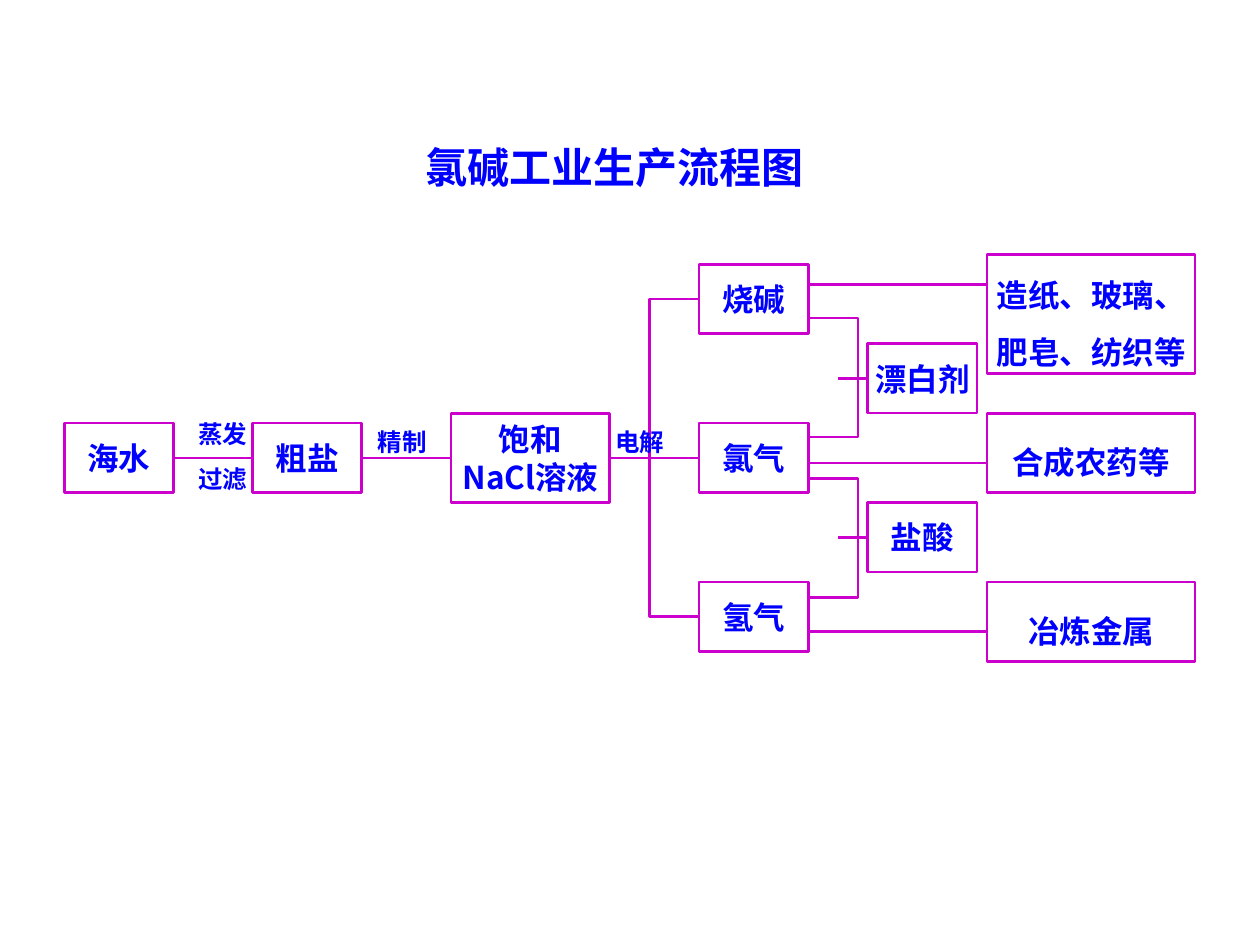
from dataclasses import dataclass

import lxml.etree
import pptx
import pptx.dml.color
import pptx.enum.shapes
import pptx.enum.text
import pptx.oxml.ns
import pptx.util

UNIT = 10 / 127
LEFT, TOP = 0.51, 2.02
PURPLE, BLUE = "CC00CC", "0000FF"


@dataclass
class Box:
    text: str
    col: float
    row: float
    cols: float = 11
    rows: float = 7
    font: str = "Arial"
    spacing: float = 1.0


@dataclass
class Label:
    text: str
    col: float
    row: float
    cols: float = 8
    rows: float = 4.3
    size: float = 14
    gap: float = 8.8


@dataclass
class Bracket:
    end_col: float
    spine_col: float
    first_row: float
    last_row: float


SEAWATER = Box("海水", 0, 17)
SALT = Box("粗盐", 19, 17)
BRINE = Box("饱和\nNaCl溶液", 39, 16, 16, 9, "Noto Sans CJK SC")
CAUSTIC = Box("烧碱", 64, 1)
CHLORINE = Box("氯气", 64, 17)
HYDROGEN = Box("氢气", 64, 33)
BLEACH = Box("漂白剂", 81, 9)
ACID = Box("盐酸", 81, 25)
USES = [
    Box("造纸、玻璃、\n肥皂、纺织等", 93, 0, 21, 12, spacing=1.5),
    Box("合成农药等", 93, 16, 21, 8, spacing=1.5),
    Box("冶炼金属", 93, 33, 21, 8, spacing=1.5),
]
BOXES = [SEAWATER, SALT, BRINE, CAUSTIC, CHLORINE, HYDROGEN, BLEACH, ACID, *USES]
STEPS = [(SEAWATER, SALT), (SALT, BRINE), (BRINE, CHLORINE)]
USE_ROWS = [3, 21, 38]
BRACKETS = [
    Bracket(64, 59, 4.5, 36.5),
    Bracket(75, 80, 6.4, 18.4),
    Bracket(75, 80, 22.6, 34.6),
]
LABELS = [
    Label("氯碱工业生产流程图", 4, -12, 103, 6.4, 24, 15),
    Label("蒸发\n过滤", 10, 16, 12, 8.8),
    Label("精制", 30.1, 16.8),
    Label("电解", 54, 16.8),
]


def color(value: str) -> pptx.dml.color.RGBColor:
    """Turn a hex string into a colour."""
    return pptx.dml.color.RGBColor.from_string(value)


def x(col: float) -> pptx.util.Length:
    """Give the horizontal position of a grid column."""
    return pptx.util.Inches(LEFT + col * UNIT)


def y(row: float) -> pptx.util.Length:
    """Give the vertical position of a grid row."""
    return pptx.util.Inches(TOP + row * UNIT)


def area(item: Box | Label) -> tuple:
    """Give the left, top, width and height of an item on the grid."""
    width = pptx.util.Inches(item.cols * UNIT)
    height = pptx.util.Inches(item.rows * UNIT)
    return x(item.col), y(item.row), width, height


def set_line(s) -> None:
    """Draw the purple outline of a shape or connector."""
    s.line.color.rgb = color(PURPLE)
    s.line.width = pptx.util.Pt(1.5)


def write(tf, text: str, size: float, font: str = "Arial",
          gap: float = 0, spacing: float = 1.0) -> None:
    """Fill a text frame with centred bold blue paragraphs."""
    for i, words in enumerate(text.split("\n")):
        p = tf.add_paragraph() if i else tf.paragraphs[0]
        p.text = words
        p.alignment = pptx.enum.text.PP_ALIGN.CENTER
        p.line_spacing = spacing
        p.space_before = pptx.util.Pt(gap if i else 0)
        p.font.name = font
        p.font.size = pptx.util.Pt(size)
        p.font.bold = True
        p.font.color.rgb = color(BLUE)


def add_box(shapes, box: Box):
    """Add an outlined substance box and return it."""
    s = shapes.add_shape(pptx.enum.shapes.MSO_SHAPE.RECTANGLE, *area(box))
    s.shadow.inherit = False
    s.fill.background()
    set_line(s)
    s.text_frame.word_wrap = False
    s.text_frame.vertical_anchor = pptx.enum.text.MSO_ANCHOR.MIDDLE
    write(s.text_frame, box.text, 18, box.font, spacing=box.spacing)
    return s


def add_label(shapes, label: Label) -> None:
    """Add a title or process label."""
    tf = shapes.add_textbox(*area(label)).text_frame
    tf.word_wrap = True
    write(tf, label.text, label.size, gap=label.gap)


def add_line(shapes, start_col: float, end_col: float, row: float):
    """Add a horizontal line between two columns and return it."""
    s = shapes.add_connector(pptx.enum.shapes.MSO_CONNECTOR.STRAIGHT,
                             x(start_col), y(row), x(end_col), y(row))
    set_line(s)
    props = s._element.spPr
    lxml.etree.SubElement(props, pptx.oxml.ns.qn("a:effectLst"))
    return s


def add_bracket(shapes, b: Bracket) -> None:
    """Add an open three-sided bracket."""
    builder = shapes.build_freeform(x(b.end_col), y(b.first_row))
    builder.add_line_segments([
        (x(b.spine_col), y(b.first_row)),
        (x(b.spine_col), y(b.last_row)),
        (x(b.end_col), y(b.last_row)),
    ], close=False)
    s = builder.convert_to_shape()
    s.shadow.inherit = False
    s.fill.background()
    set_line(s)


def main() -> None:
    """Build the flow chart slide."""
    prs = pptx.Presentation()
    prs.slide_width = pptx.util.Inches(10)
    prs.slide_height = pptx.util.Inches(7.5)
    shapes = prs.slides.add_slide(prs.slide_layouts[6]).shapes
    drawn = {box.text: add_box(shapes, box) for box in BOXES}
    for source, target in STEPS:
        row = source.row + source.rows / 2
        s = add_line(shapes, source.col + source.cols, target.col, row)
        s.begin_connect(drawn[source.text], 3)
        s.end_connect(drawn[target.text], 1)
    for b in BRACKETS:
        add_bracket(shapes, b)
    for box in (BLEACH, ACID):
        s = add_line(shapes, box.col - 3, box.col, box.row + box.rows / 2)
        s.end_connect(drawn[box.text], 1)
    for box, row in zip(USES, USE_ROWS):
        add_line(shapes, CHLORINE.col + CHLORINE.cols, box.col, row)
    for label in LABELS:
        add_label(shapes, label)
    prs.save("out.pptx")


if __name__ == "__main__":
    main()
